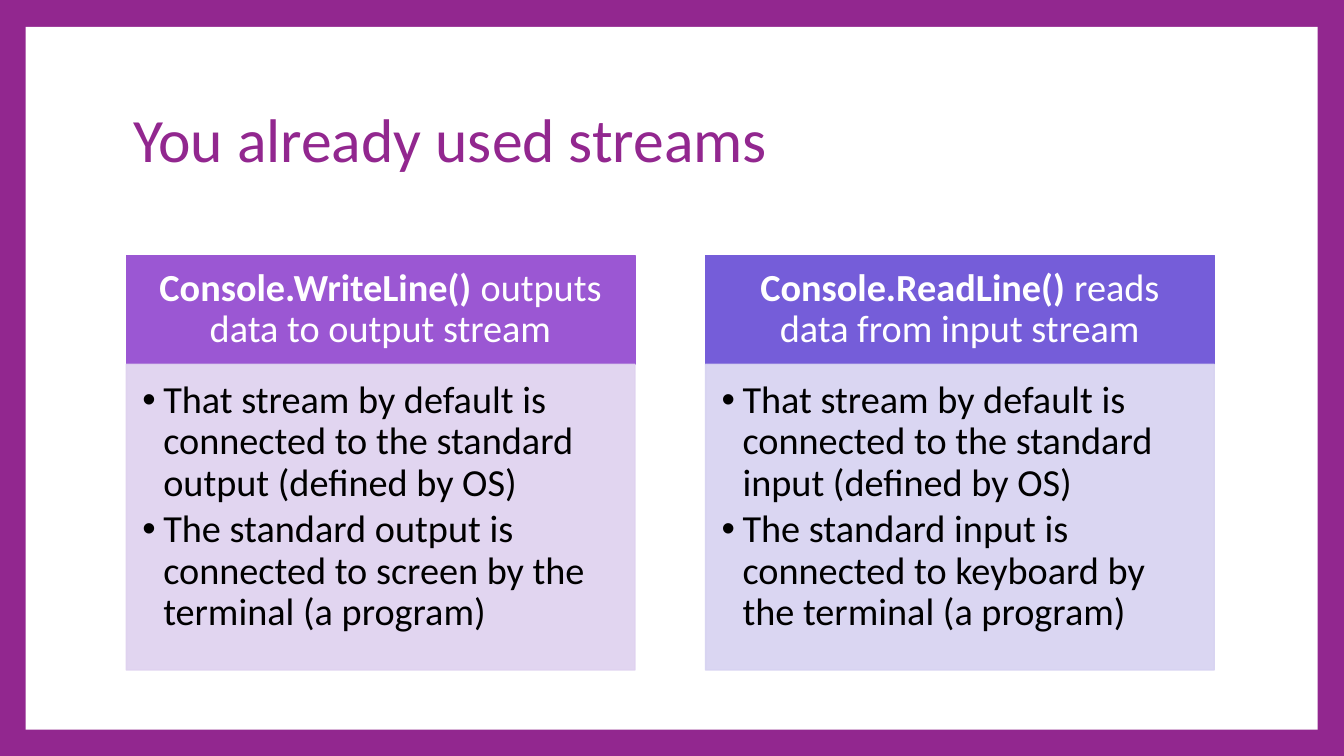
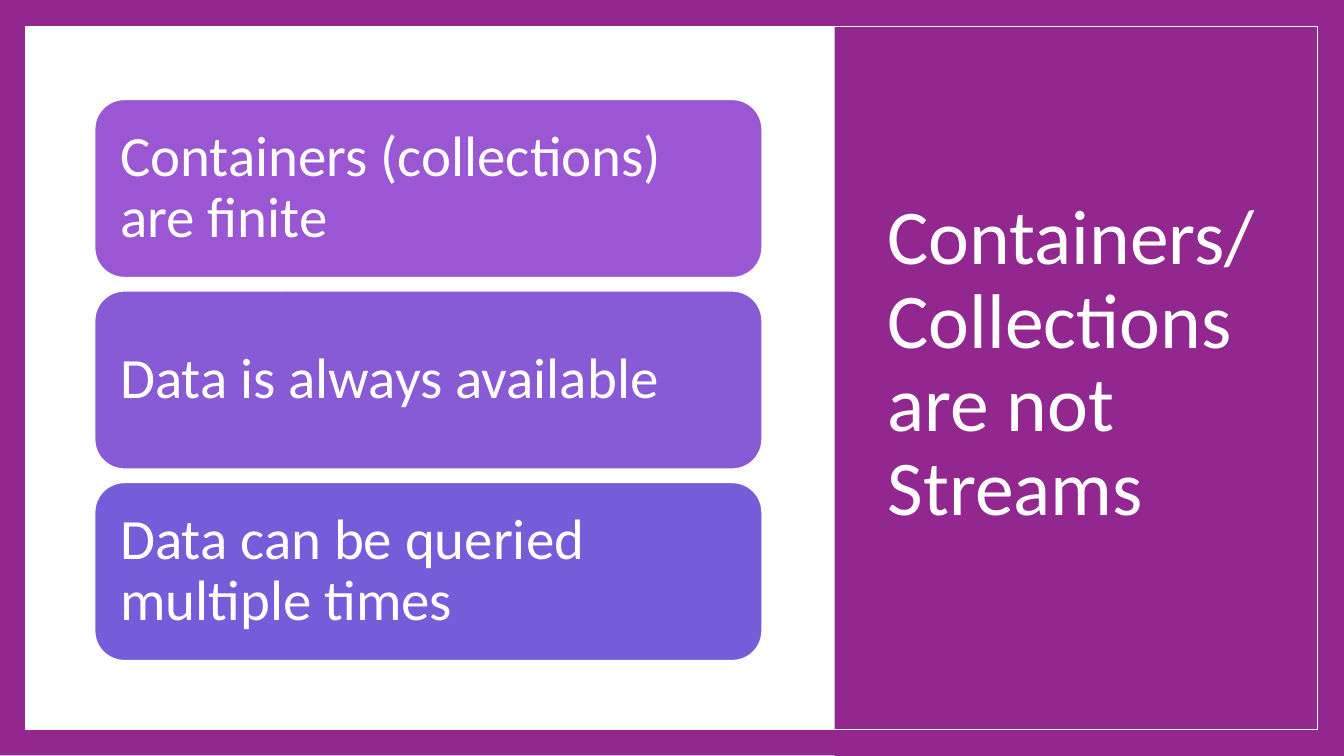
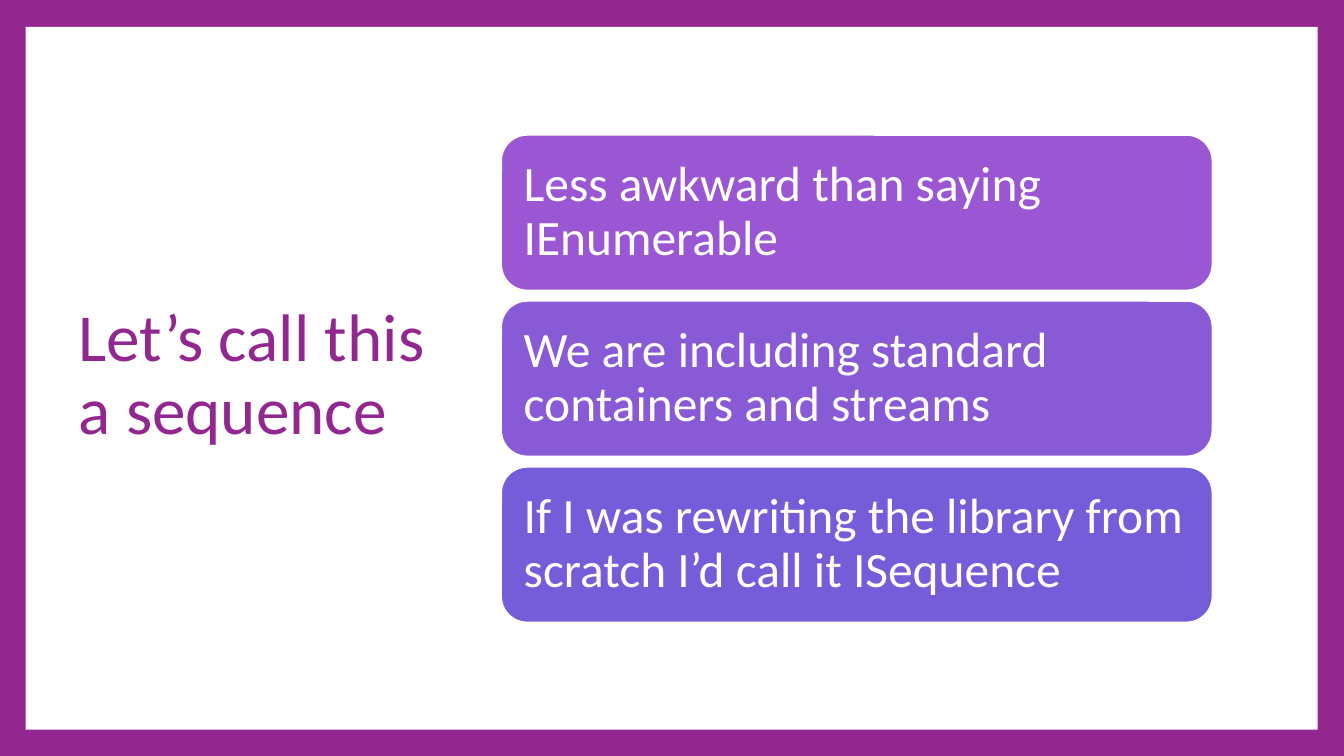
from lxml.etree import SubElement
from pptx import Presentation
from pptx.dml.color import RGBColor
from pptx.enum.shapes import MSO_SHAPE as Kind
from pptx.enum.text import MSO_ANCHOR as Anchor, MSO_AUTO_SIZE as AutoSize, PP_ALIGN as Align
from pptx.oxml.ns import qn
from pptx.util import Inches, Pt

FONT = "Calibri"
PURPLE, WHITE, BLACK = "92278F", "FFFFFF", "000000"
ORCHID, VIOLET, INDIGO = "9B57D3", "885AD6", "755DD9"
SLIDE_SIZE = (20, 11.25)
PANEL = (0.38, 0.4, 19.23, 10.46)

STREAM_TITLE = "You already used streams"
STREAM_CARDS = [
    {"call": "Console.WriteLine() ", "action": "outputs data to output stream",
     "colors": (ORCHID, "DED1EF"),
     "points": ["That stream by default is connected to the standard output (defined by OS)",
                "The standard output is connected to screen by the terminal (a program)"]},
    {"call": "Console.ReadLine() ", "action": "reads data from input stream",
     "colors": (INDIGO, "D6D2F1"),
     "points": ["That stream by default is connected to the standard input (defined by OS)",
                "The standard input is connected to keyboard by the terminal (a program)"]},
]
CONTAINER_TITLE = "Containers/Collections are not Streams"
CONTAINER_FACTS = ["Containers (collections) are finite",
                   "Data is always available",
                   "Data can be queried multiple times"]
SEQUENCE_TITLE = "Let’s call this a sequence"
SEQUENCE_REASONS = ["Less awkward than saying IEnumerable",
                    "We are including standard containers and streams",
                    "If I was rewriting the library from scratch I’d call it ISequence"]


def color(value):
    return RGBColor.from_string(value)


def paint(page, value):
    fill = page.background.fill
    fill.solid()
    fill.fore_color.rgb = color(value)


def place(shape, at):
    shape.left, shape.top, shape.width, shape.height = map(Inches, at)


def add_box(page, at, fill=None, line=None, width=1.5, kind=Kind.RECTANGLE, opacity=100):
    box = page.shapes.add_shape(kind, *map(Inches, at))
    box.shadow.inherit = False
    if fill:
        box.fill.solid()
        box.fill.fore_color.rgb = color(fill)
    else:
        box.fill.background()
    if line:
        box.line.color.rgb = color(line)
        box.line.width = Pt(width)
    else:
        box.line.fill.background()
    if opacity < 100:
        for tint in box.element.spPr.iter(qn("a:srgbClr")):
            SubElement(tint, qn("a:alpha"), val=str(opacity * 1000))
    return box


def set_frame(box, insets, anchor):
    frame = box.text_frame
    frame.word_wrap = True
    frame.auto_size = AutoSize.NONE
    frame.vertical_anchor = anchor
    frame.margin_left, frame.margin_top, frame.margin_right, frame.margin_bottom = map(Inches, insets)
    return frame


def format_text(frame, size, ink, align=Align.LEFT):
    for para in frame.paragraphs:
        para.alignment = align
        para.line_spacing = 0.9
        for span in para.runs:
            span.font.name = FONT
            span.font.size = Pt(size)
            span.font.color.rgb = color(ink)


def add_bullets(frame):
    for para in frame.paragraphs:
        para.space_after = Pt(6)
        props = para._p.get_or_add_pPr()
        props.set("marL", str(Inches(0.31)))
        props.set("indent", str(Inches(-0.31)))
        SubElement(props, qn("a:buFont"), typeface="Arial")
        SubElement(props, qn("a:buChar"), char="•")


def add_page(deck, title, at, size, ink=PURPLE):
    page = deck.slides.add_slide(deck.slide_layouts[5])
    heading = page.shapes.title
    place(heading, at)
    frame = set_frame(heading, (0.1, 0.05, 0.1, 0.05), Anchor.MIDDLE)
    frame.text = title
    format_text(frame, size, ink)
    return page


def add_card(page, card, left):
    top, width, header_height, body_height = 3.8, 7.57, 1.62, 4.55
    header_color, body_color = card["colors"]
    header = add_box(page, (left, top, width, header_height), header_color, header_color)
    frame = set_frame(header, (0.32, 0.18, 0.32, 0.18), Anchor.MIDDLE)
    para = frame.paragraphs[0]
    for text, bold in ((card["call"], True), (card["action"], False)):
        span = para.add_run()
        span.text = text
        span.font.bold = bold
    format_text(frame, 41, WHITE, Align.CENTER)

    body = add_box(page, (left, top + header_height, width, body_height),
                   body_color, body_color, opacity=90)
    frame = set_frame(body, (0.24, 0.24, 0.32, 0.36), Anchor.TOP)
    frame.text = "\n".join(card["points"])
    format_text(frame, 41, BLACK)
    add_bullets(frame)


def add_stack(page, texts, first, pitch, size, inset):
    left, top, width, height = first
    for row, (text, fill) in enumerate(zip(texts, (ORCHID, VIOLET, INDIGO))):
        box = add_box(page, (left, top + row * pitch, width, height), fill, WHITE,
                      kind=Kind.ROUNDED_RECTANGLE)
        frame = set_frame(box, (inset,) * 4, Anchor.MIDDLE)
        frame.text = text
        format_text(frame, size, WHITE)


def style_master(deck, page):
    master = deck.slide_master
    paint(master, PURPLE)
    panel = add_box(page, PANEL, WHITE)
    master.placeholders[0].element.addprevious(panel.element)


def build_streams(deck):
    page = add_page(deck, STREAM_TITLE, (1.88, 1, 16.2, 2.23), 66)
    style_master(deck, page)
    for column, card in enumerate(STREAM_CARDS):
        add_card(page, card, 1.88 + column * 8.62)


def build_containers(deck):
    page = add_page(deck, CONTAINER_TITLE, (13.11, 1, 5.86, 8.86), 83, WHITE)
    paint(page, WHITE)
    backdrop = [((0, -0.01, *SLIDE_SIZE), PURPLE),
                ((0.38, 0.39, 19.23, 10.46), WHITE),
                ((12.42, 0, 7.58, 11.25), PURPLE)]
    for at, fill in backdrop:
        page.shapes.title.element.addprevious(add_box(page, at, fill).element)
    add_box(page, PANEL, line=WHITE, width=1)
    add_stack(page, CONTAINER_FACTS, (1.41, 1.48, 9.93, 2.65), 2.85, 61, 0.25)


def build_sequence(deck):
    page = add_page(deck, SEQUENCE_TITLE, (1.07, 1, 5.52, 9.2), 72)
    add_stack(page, SEQUENCE_REASONS, (7.46, 2.01, 10.58, 2.31), 2.47, 53, 0.22)


def main():
    deck = Presentation()
    deck.slide_width, deck.slide_height = map(Inches, SLIDE_SIZE)
    build_streams(deck)
    build_containers(deck)
    build_sequence(deck)
    deck.save("out.pptx")


if __name__ == "__main__":
    main()
